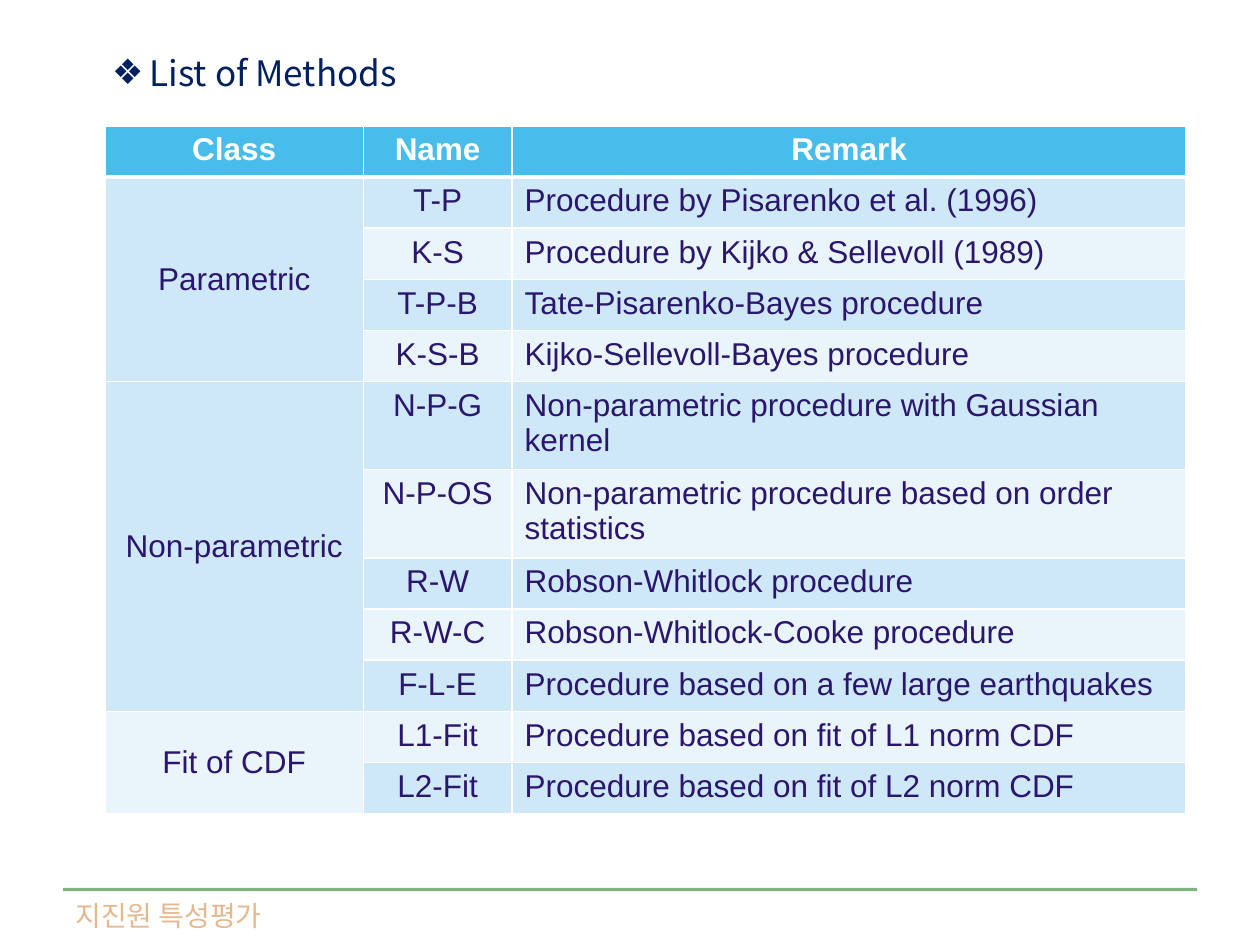
import pptx
import pptx.util
import pptx.dml.color
import pptx.enum.shapes
import pptx.enum.text
import pptx.oxml.ns
from lxml import etree

Pt = pptx.util.Pt
RGBColor = pptx.dml.color.RGBColor
qn = pptx.oxml.ns.qn
CENTER = pptx.enum.text.PP_ALIGN.CENTER
LEFT = pptx.enum.text.PP_ALIGN.LEFT
MIDDLE = pptx.enum.text.MSO_ANCHOR.MIDDLE

WHITE = RGBColor(0xFF, 0xFF, 0xFF)
HEADER = RGBColor(0x48, 0xBD, 0xEC)
BAND_DARK = RGBColor(0xCF, 0xE8, 0xF8)
BAND_LIGHT = RGBColor(0xE9, 0xF4, 0xFB)
PURPLE = RGBColor(0x2B, 0x16, 0x6E)
NAVY = RGBColor(0x00, 0x20, 0x60)
GREEN = RGBColor(0x00, 0x66, 0x00)
TAN = RGBColor(0xE6, 0xB8, 0x8F)

TITLE = "List of Methods"
FOOTER = "지진원 특성평가"
COLUMNS = [("Class", 147.6), ("Name", 85), ("Remark", 385.2)]
CLASSES = [
    ("Parametric", [
        ("T-P", "Procedure by Pisarenko et al. (1996)"),
        ("K-S", "Procedure by Kijko & Sellevoll (1989)"),
        ("T-P-B", "Tate-Pisarenko-Bayes procedure"),
        ("K-S-B", "Kijko-Sellevoll-Bayes procedure"),
    ]),
    ("Non-parametric", [
        ("N-P-G", "Non-parametric procedure with Gaussian kernel"),
        ("N-P-OS", "Non-parametric procedure based on order statistics"),
        ("R-W", "Robson-Whitlock procedure"),
        ("R-W-C", "Robson-Whitlock-Cooke procedure"),
        ("F-L-E", "Procedure based on a few large earthquakes"),
    ]),
    ("Fit of CDF", [
        ("L1-Fit", "Procedure based on fit of L1 norm CDF"),
        ("L2-Fit", "Procedure based on fit of L2 norm CDF"),
    ]),
]
ROW_HEIGHT = 29.2
HEADER_FONT = {"name": "Arial", "size": Pt(18), "bold": True}
BODY_FONT = {"name": "Arial", "size": Pt(18), "bold": False}


def format_font(font, color, values):
    for key, value in values.items():
        setattr(font, key, value)
    font.color.rgb = color


def add_text(slide, box, text, color, font, wrap):
    tf = slide.shapes.add_textbox(*map(Pt, box)).text_frame
    tf.word_wrap = wrap
    p = tf.paragraphs[0]
    r = p.add_run()
    r.text = text
    format_font(r.font, color, font)
    etree.SubElement(r.font._element, qn("a:ea"), typeface="Noto Sans CJK KR")
    return p


def add_bullet(p, char, color, left, hanging):
    pPr = p._p.get_or_add_pPr()
    pPr.set("marL", str(Pt(left)))
    pPr.set("indent", str(-Pt(hanging)))
    clr = etree.SubElement(pPr, qn("a:buClr"))
    etree.SubElement(clr, qn("a:srgbClr"), val=str(color))
    etree.SubElement(pPr, qn("a:buFont"), typeface="Arial")
    etree.SubElement(pPr, qn("a:buChar"), char=char)


def set_borders(cell, widths):
    """Draw white borders; widths maps L, R, T and B to points."""
    tcPr = cell._tc.get_or_add_tcPr()
    for i, (side, width) in enumerate(widths.items()):
        ln = etree.Element(qn(f"a:ln{side}"), w=str(Pt(width)))
        fill = etree.SubElement(ln, qn("a:solidFill"))
        etree.SubElement(fill, qn("a:srgbClr"), val=str(WHITE))
        tcPr.insert(i, ln)


def fill_cell(cell, text, align, fill, color, font):
    cell.fill.solid()
    cell.fill.fore_color.rgb = fill
    p = cell.text_frame.paragraphs[0]
    p.alignment = align
    r = p.add_run()
    r.text = text
    format_font(r.font, color, font)


def add_methods_table(slide):
    n_rows = 1 + sum(len(methods) for _, methods in CLASSES)
    width = sum(w for _, w in COLUMNS)
    table = slide.shapes.add_table(
        n_rows, len(COLUMNS), Pt(60), Pt(72), Pt(width), Pt(ROW_HEIGHT * n_rows)).table
    for row in table.rows:
        row.height = Pt(ROW_HEIGHT)
    for col, (name, w) in enumerate(COLUMNS):
        table.columns[col].width = Pt(w)
        fill_cell(table.cell(0, col), name, CENTER, HEADER, WHITE, HEADER_FONT)

    row = 1
    for class_name, methods in CLASSES:
        first = table.cell(row, 0)
        first.merge(table.cell(row + len(methods) - 1, 0))
        first.vertical_anchor = MIDDLE
        fill_cell(first, class_name, CENTER,
                  BAND_DARK if row % 2 else BAND_LIGHT, PURPLE, BODY_FONT)
        for name, remark in methods:
            band = BAND_DARK if row % 2 else BAND_LIGHT
            fill_cell(table.cell(row, 1), name, CENTER, band, PURPLE, BODY_FONT)
            fill_cell(table.cell(row, 2), remark, LEFT, band, PURPLE, BODY_FONT)
            row += 1

    for row in range(n_rows):
        for col in range(len(COLUMNS)):
            set_borders(table.cell(row, col), {
                "L": 1, "R": 1, "T": 3 if row == 1 else 1, "B": 3 if row == 0 else 1})


def add_footer_line(slide):
    line = slide.shapes.add_connector(
        pptx.enum.shapes.MSO_CONNECTOR.STRAIGHT, Pt(36), Pt(508.3), Pt(684), Pt(508.3))
    line.line.width = Pt(1.75)
    line.line.color.rgb = GREEN
    spPr = line._element.spPr
    etree.SubElement(spPr.find(".//" + qn("a:srgbClr")), qn("a:alpha"), val="50000")
    etree.SubElement(spPr, qn("a:effectLst"))


def main():
    prs = pptx.Presentation()
    prs.slide_width, prs.slide_height = Pt(720), Pt(540)
    slide = prs.slides.add_slide(prs.slide_layouts[6])
    add_text(slide, (36, 509.8, 131, 26.6), FOOTER, TAN,
             {"name": "Arial", "size": Pt(16)}, False)
    add_footer_line(slide)
    title = add_text(slide, (36, 26, 648, 477.4), TITLE, NAVY,
                     {"name": "Noto Sans CJK KR", "size": Pt(20)}, True)
    add_bullet(title, "❖", NAVY, 42.5, 21.5)
    add_methods_table(slide)
    prs.save("out.pptx")


if __name__ == "__main__":
    main()
